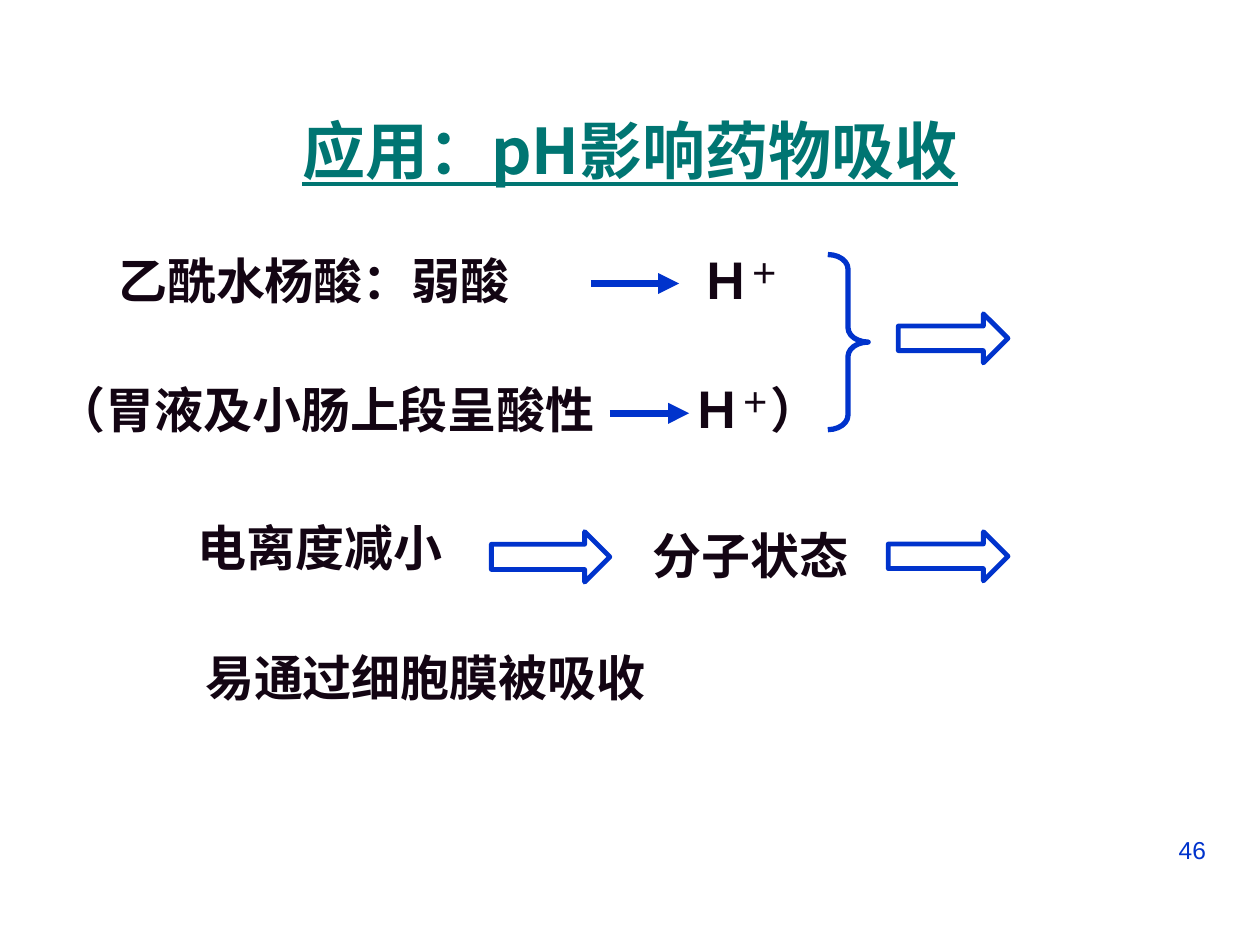
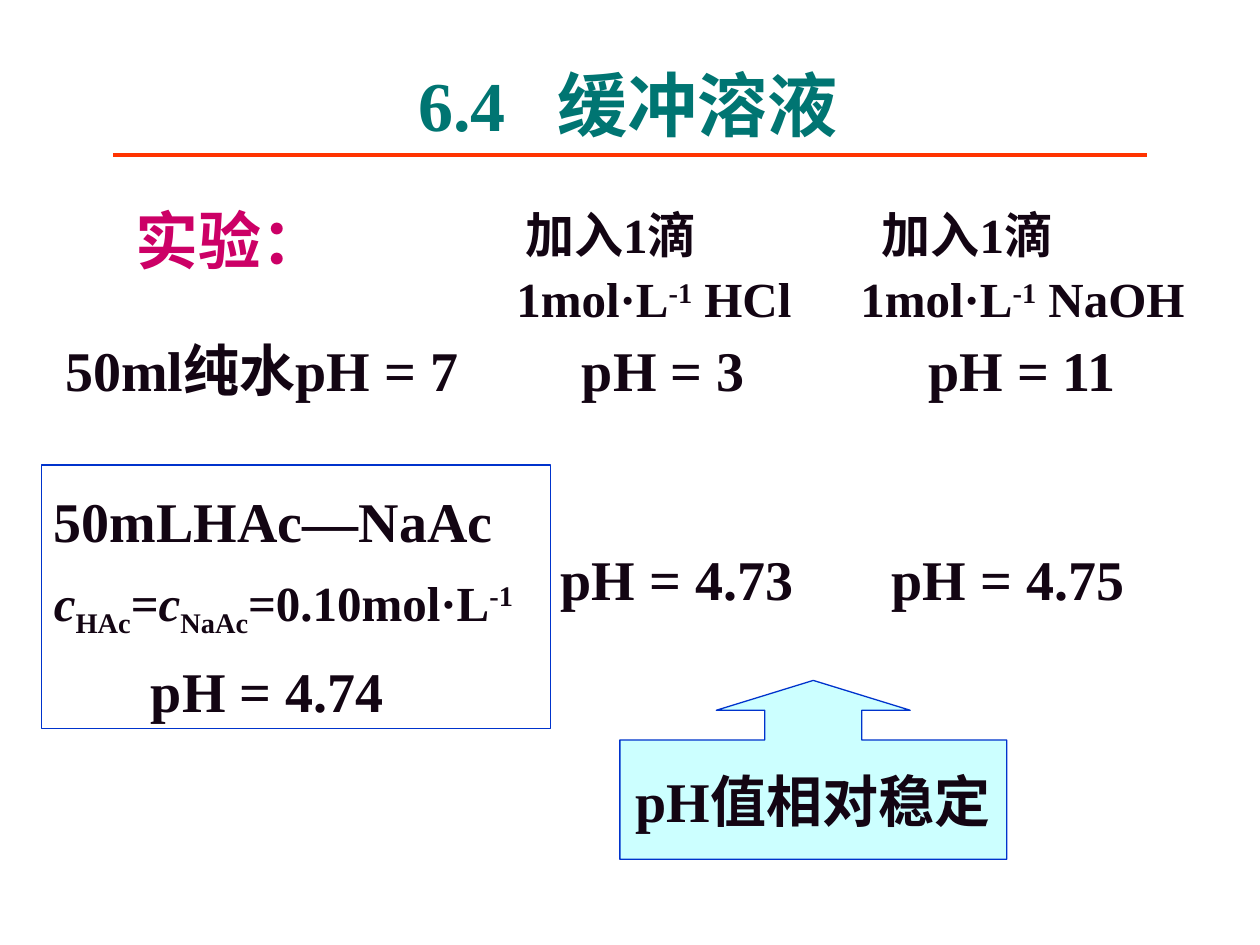
from lxml import etree
from pptx import Presentation
from pptx.dml.color import RGBColor
from pptx.enum.shapes import MSO_CONNECTOR, MSO_SHAPE
from pptx.enum.text import MSO_ANCHOR, PP_ALIGN
from pptx.oxml.ns import qn
from pptx.util import Inches, Pt

TEAL = RGBColor(0x00, 0x75, 0x72)
INK = RGBColor(0x13, 0x05, 0x13)
BLUE = RGBColor(0x00, 0x33, 0xCC)
MAGENTA = RGBColor(0xCC, 0x00, 0x66)
RED = RGBColor(0xFF, 0x33, 0x00)
PALE_CYAN = RGBColor(0xCC, 0xFF, 0xFF)
SANS, SERIF, CJK = "Arial", "Times New Roman", "Noto Sans CJK SC"
LEFT, CENTER, RIGHT = PP_ALIGN.LEFT, PP_ALIGN.CENTER, PP_ALIGN.RIGHT
TOP, MIDDLE = MSO_ANCHOR.TOP, MSO_ANCHOR.MIDDLE
STRAIGHT = MSO_CONNECTOR.STRAIGHT
RECTANGLE, BRACE = MSO_SHAPE.RECTANGLE, MSO_SHAPE.RIGHT_BRACE
BLOCK_ARROW, CALLOUT = MSO_SHAPE.RIGHT_ARROW, MSO_SHAPE.UP_ARROW_CALLOUT
BASELINES = {"sup": "30000", "sub": "-25000"}

ABSORPTION_TITLE = "应用：pH影响药物吸收"
PAGE_NUMBER = "46"
ACID_SOURCES = [
    ((0.84, 1.94, 7.7, 0.83), SANS, 4.63,
     [("乙酰水杨酸：弱酸\tＨ", ""), ("＋", "sup")]),
    ((0.35, 2.96, 7.95, 0.57), SERIF, 5.05,
     [("（胃液及小肠上段呈酸性\tＨ", ""), ("＋", "sup"), ("）", "")]),
]
RELEASE_ARROWS = [(4.69, 5.39, 2.25), (4.84, 5.47, 3.28)]
OUTCOMES = [
    ("电离度减小", (1.47, 4.06, 2.14, 0.57)),
    ("分子状态", (5.08, 4.12, 2.28, 0.57)),
    ("易通过细胞膜被吸收", (1.53, 5.09, 4.57, 0.57)),
]
STEP_ARROWS = [(7.13, 2.49, 0.87, 0.39), (3.9, 4.22, 0.94, 0.4),
               (7.05, 4.22, 0.95, 0.39)]

BUFFER_TITLE = "6.4\t缓冲溶液"
EXPERIMENT = "实验："
ADDED_DROP = "加入1滴"
ADDITIONS = [(3.9, 2.75, 0.1, "HCl"), (6.73, 3.08, 0, "NaOH")]
WATER_RESULTS = "50ml纯水pH = 7\tpH = 3\tpH = 11"
BUFFER_RESULTS = "pH = 4.73\tpH = 4.75"
BUFFER_MIX = [
    (32, 0, [("50mLHAc—NaAc", "")]),
    (28, 0, [("c", "italic"), ("HAc", "sub"), ("=", ""), ("c", "italic"),
             ("NaAc", "sub"), ("=0.10mol·L", ""), ("-1", "sup")]),
    (32, 0.77, [("pH = 4.74", "")]),
]
CONCLUSION = "pH值相对稳定"


def fill_paragraph(paragraph, content, size, color=INK, font=SERIF, bold=True,
                   underline=False, align=LEFT, tabs=(), indent=0, spacing=None):
    paragraph.alignment = align
    if spacing:
        paragraph.line_spacing = spacing
    properties = paragraph._p.get_or_add_pPr()
    if indent:
        properties.set("marL", str(Inches(indent)))
    if tabs:
        stops = etree.SubElement(properties, qn("a:tabLst"))
        for stop in tabs:
            etree.SubElement(stops, qn("a:tab"), pos=str(Inches(stop)), algn="l")
    pieces = [(content, "")] if isinstance(content, str) else content
    for words, style in pieces:
        run = paragraph.add_run()
        run.text = words
        run.font.size = Pt(size)
        run.font.bold = bold
        run.font.underline = underline
        run.font.italic = style == "italic"
        run.font.color.rgb = color
        run.font.name = font
        run_properties = run._r.get_or_add_rPr()
        etree.SubElement(run_properties, qn("a:ea"), typeface=CJK)
        if style in BASELINES:
            run_properties.set("baseline", BASELINES[style])


def add_text(slide, box, content, size, anchor=TOP, **style):
    frame = slide.shapes.add_textbox(*map(Inches, box)).text_frame
    frame.word_wrap = True
    frame.vertical_anchor = anchor
    fill_paragraph(frame.paragraphs[0], content, size, **style)
    return frame


def add_outline(slide, kind, box, weight, fill=None):
    outline = slide.shapes.add_shape(kind, *map(Inches, box))
    outline.shadow.inherit = False
    if fill is None:
        outline.fill.background()
    else:
        outline.fill.solid()
        outline.fill.fore_color.rgb = fill
    outline.line.color.rgb = BLUE
    outline.line.width = Pt(weight)
    return outline


def add_rule(slide, start, end, y, color, weight, arrow=False):
    rule = slide.shapes.add_connector(
        STRAIGHT, Inches(start), Inches(y), Inches(end), Inches(y))
    rule.line.color.rgb = color
    rule.line.width = Pt(weight)
    if arrow:
        etree.SubElement(rule.line._get_or_add_ln(), qn("a:tailEnd"), type="triangle")
    etree.SubElement(rule._element.spPr, qn("a:effectLst"))


def build_absorption(slide):
    add_text(slide, (7.17, 6.58, 2.5, 0.52), PAGE_NUMBER, 14, color=BLUE,
             font=SANS, bold=False, align=RIGHT)
    add_text(slide, (0.33, 0.75, 9.34, 0.87), ABSORPTION_TITLE, 36, anchor=MIDDLE,
             color=TEAL, font=CJK, underline=True, align=CENTER)
    for box, font, ion_stop, content in ACID_SOURCES:
        add_text(slide, box, content, 28, font=font, tabs=[ion_stop])
    for start, end, y in RELEASE_ARROWS:
        add_rule(slide, start, end, y, BLUE, 4, arrow=True)
    brace = add_outline(slide, BRACE, (6.57, 2.02, 0.32, 1.39), 3)
    brace.adjustments[0] = 0.36
    for box in STEP_ARROWS:
        add_outline(slide, BLOCK_ARROW, box, 2.75)
    for outcome, box in OUTCOMES:
        add_text(slide, box, outcome, 28)


def build_buffer(slide):
    callout = add_outline(slide, CALLOUT, (4.92, 5.4, 3.07, 1.42), 0.75, PALE_CYAN)
    for index, value in enumerate((0.542, 0.542, 0.167, 0.667)):
        callout.adjustments[index] = value
    callout.text_frame.word_wrap = False
    callout.text_frame.vertical_anchor = MIDDLE
    fill_paragraph(callout.text_frame.paragraphs[0], CONCLUSION, 32, align=CENTER)

    mix = add_outline(slide, RECTANGLE, (0.33, 3.69, 4.04, 2.09), 0.75).text_frame
    mix.word_wrap = True
    mix.vertical_anchor = MIDDLE
    for index, (size, indent, content) in enumerate(BUFFER_MIX):
        paragraph = mix.add_paragraph() if index else mix.paragraphs[0]
        fill_paragraph(paragraph, content, size, indent=indent, spacing=Pt(48.5))

    add_text(slide, (3.22, 0.44, 4.06, 0.77), BUFFER_TITLE, 40, color=TEAL, tabs=[1.11])
    add_rule(slide, 0.9, 9.1, 1.23, RED, 2.25)
    add_text(slide, (0.98, 1.55, 1.81, 0.7), EXPERIMENT, 36, color=MAGENTA)
    for left, width, indent, reagent in ADDITIONS:
        frame = add_text(slide, (left, 1.57, width, 1.09), ADDED_DROP, 28, indent=0.17)
        dose = frame.add_paragraph()
        dose.space_before = Pt(3.5)
        fill_paragraph(dose, [("1mol·L", ""), ("-1", "sup"), (" " + reagent, "")],
                       28, indent=indent)
    add_text(slide, (0.42, 2.67, 8.66, 0.58), WATER_RESULTS, 32,
             tabs=[4.1, 6.85], spacing=0.9)
    add_text(slide, (4.35, 4.27, 5.06, 0.64), BUFFER_RESULTS, 32, tabs=[2.63])


def main():
    deck = Presentation()
    deck.slide_width, deck.slide_height = Inches(10), Inches(7.5)
    blank = deck.slide_layouts[6]
    for build in (build_absorption, build_buffer):
        build(deck.slides.add_slide(blank))
    deck.save("out.pptx")


if __name__ == "__main__":
    main()
